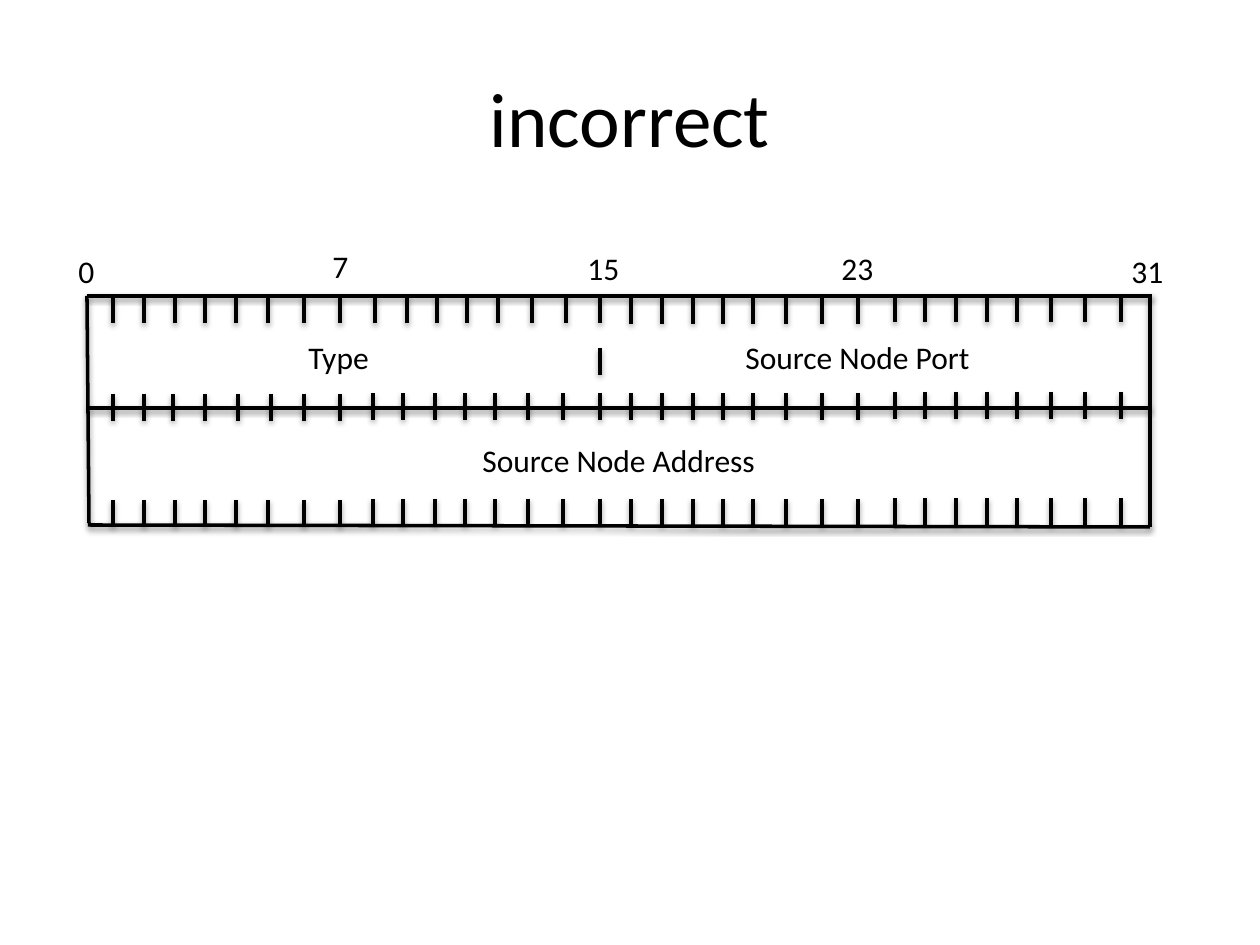
import pptx
import pptx.dml.color
import pptx.enum.shapes
import pptx.enum.text
import pptx.util

BLACK = pptx.dml.color.RGBColor(0, 0, 0)
FONT = "Calibri"
PX = 914400 / 126
TICK_LENGTH = 27
LABEL_HEIGHT = 50

presentation = pptx.Presentation()
presentation.slide_width = round(1260 * PX)
presentation.slide_height = round(945 * PX)
slide = presentation.slides.add_slide(presentation.slide_layouts[5])


def add_line(x1, y1, x2, y2):
    """Draw a black line that keeps the soft shadow of the theme."""
    line = slide.shapes.add_connector(
        pptx.enum.shapes.MSO_CONNECTOR.STRAIGHT,
        *(round(value * PX) for value in (x1, y1, x2, y2)))
    line.line.color.rgb = BLACK
    line.line.width = pptx.util.Pt(2)


def format_text(shape, text, size):
    shape.text_frame.text = text
    font = shape.text_frame.paragraphs[0].font
    font.name = FONT
    font.size = pptx.util.Pt(size)
    font.color.rgb = BLACK


title = slide.shapes.title
title.left, title.top, title.width, title.height = (
    round(value * PX) for value in (63, 38, 1134, 157))
format_text(title, "incorrect", 44)
title.text_frame.paragraphs[0].alignment = pptx.enum.text.PP_ALIGN.CENTER

# Packet frame: top, left, right, row divider, bottom, field separator
for ends in [
    (87, 296, 1152, 296),
    (87, 296, 89, 523),
    (1150, 297, 1150, 527),
    (88, 408, 1150, 408),
    (88, 525, 1150, 527),
    (600, 348, 600, 375),
]:
    add_line(*ends)

# Bit ticks in groups of eight; the right half is the same in every row
outer_bits = [113, 144, 175, 205, 236, 268, 304, 340]
shifted_bits = [113, 144, 173, 205, 238, 271, 304, 340]
header_bits = [375, 407, 437, 467, 498, 532, 566, 600]
inner_bits = [373, 403, 435, 465, 495, 528, 563, 600]
right_bits = [[631, 662, 693, 723, 753, 786, 822, 858],
              [895, 925, 956, 987, 1017, 1051, 1085, 1121]]
tick_rows = [
    ([outer_bits, header_bits], [296, 296, 297, 295]),
    ([shifted_bits, inner_bits], [394, 393, 393, 392]),
    ([outer_bits, inner_bits], [500, 499, 499, 498]),
]
for left_bits, tops in tick_rows:
    for bits, top in zip(left_bits + right_bits, tops):
        for x in bits:
            add_line(x, top, x, top + TICK_LENGTH)

# Bit numbers and field names: text, left, top, width
for text, left, top, width in [
    ("0", 66, 246, 42),
    ("7", 320, 241, 42),
    ("15", 575, 243, 58),
    ("23", 829, 243, 58),
    ("31", 1119, 246, 58),
    ("Type", 296, 332, 88),
    ("Source Node Port", 733, 332, 253),
    ("Source Node Address", 470, 435, 301),
]:
    label = slide.shapes.add_textbox(
        *(round(value * PX) for value in (left, top, width, LABEL_HEIGHT)))
    format_text(label, text, 18)
    label.text_frame.word_wrap = False
    label.text_frame.auto_size = pptx.enum.text.MSO_AUTO_SIZE.SHAPE_TO_FIT_TEXT

presentation.save("out.pptx")
